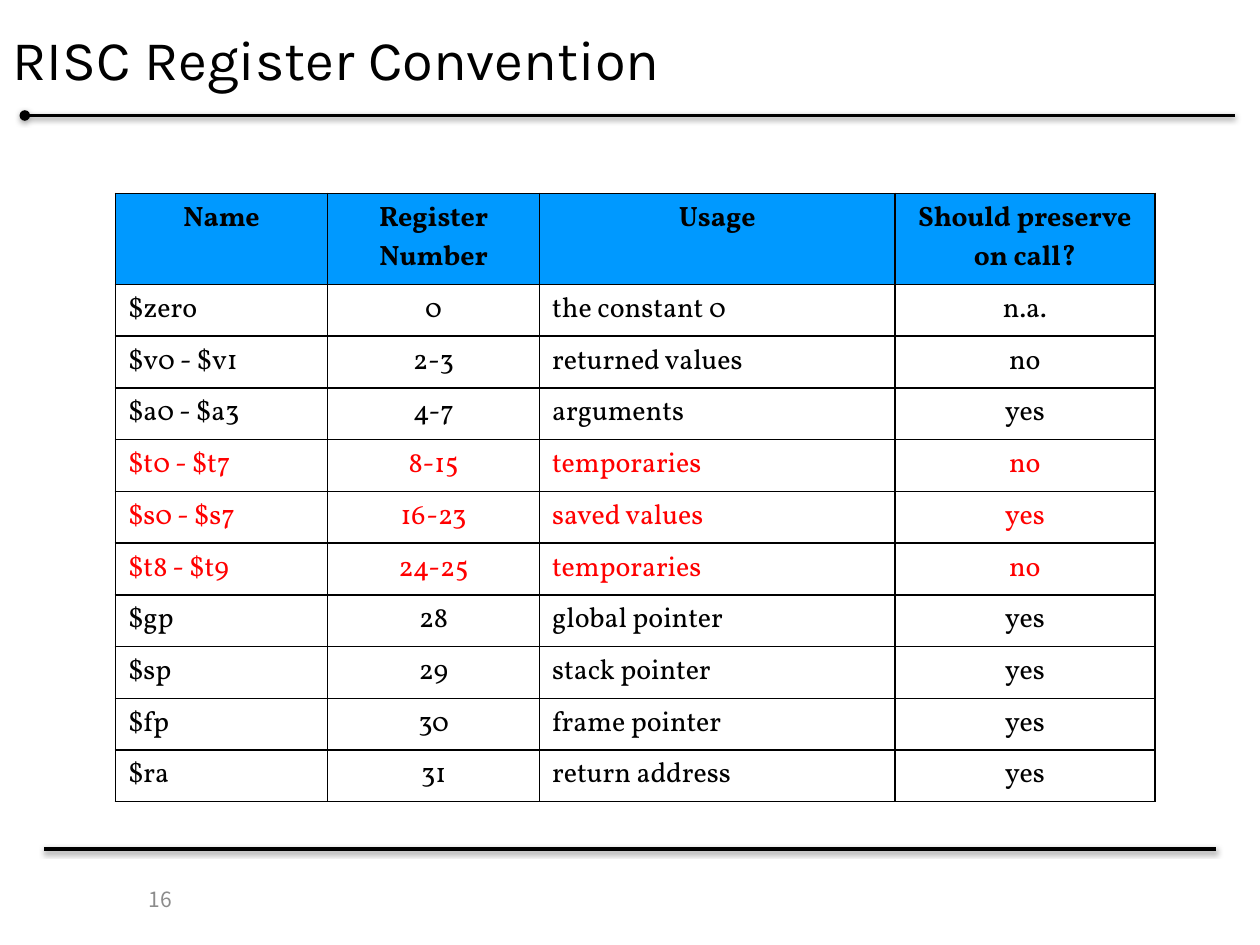
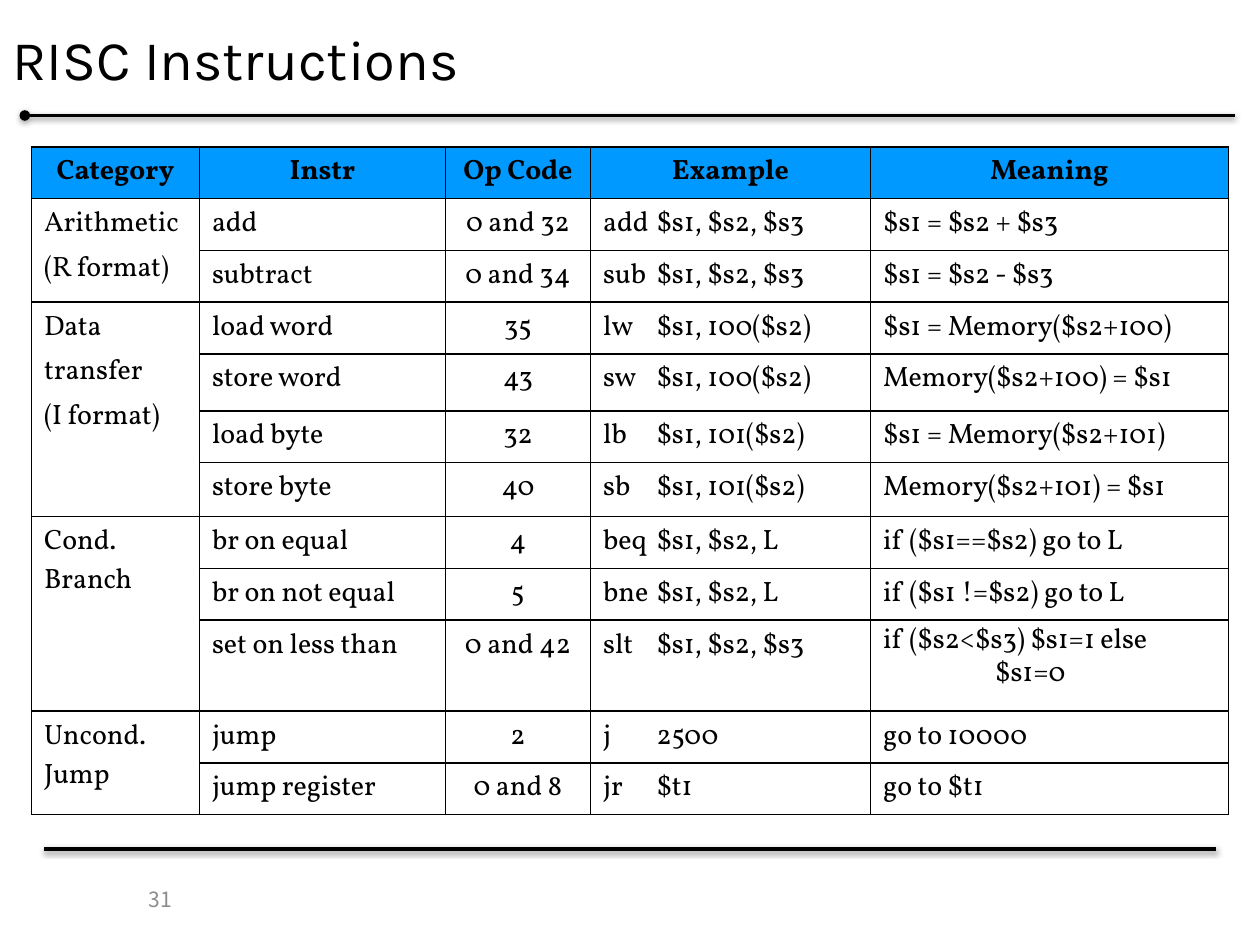
import dataclasses
import typing

import lxml.etree
import pptx
import pptx.dml.color
import pptx.enum.shapes
import pptx.enum.text
import pptx.oxml.ns
import pptx.util

Pt = pptx.util.Pt
Color = pptx.dml.color.RGBColor
Align = pptx.enum.text.PP_ALIGN
Anchor = pptx.enum.text.MSO_ANCHOR
qn = pptx.oxml.ns.qn


@dataclasses.dataclass(frozen=True)
class Theme:
    ink: Color = Color(0, 0, 0)
    header: Color = Color(0x00, 0x99, 0xFF)
    accent: Color = Color(0xFF, 0, 0)
    muted: Color = Color(0x8C, 0x8C, 0x8C)
    title_font: str = "Karla"
    table_font: str = "Vollkorn"
    number_font: str = "Noto Sans CJK KR"
    title_size: float = 32
    table_size: float = 16
    number_size: float = 12
    paragraph_gap: float = 3.2
    border: float = 1
    rule: float = 2


THEME = Theme()


class Column(typing.NamedTuple):
    heading: str
    width: float
    align: Align = Align.LEFT
    tab: float = 0
    wrapped_spacing: float = 1


@dataclasses.dataclass(frozen=True)
class TablePage:
    """A slide with one table; None in a row continues the cell above."""
    title: str
    number: int
    left: float
    top: float
    columns: list[Column]
    rows: list[tuple]
    header_height: float
    row_height: float = 29.5
    tall_rows: dict[int, float] = dataclasses.field(default_factory=dict)
    accent_rows: tuple[int, ...] = ()


REGISTERS = TablePage(
    "RISC Register Convention", 16, 66, 110.5,
    [Column("Name", 121.2), Column("Register Number", 121.2, Align.CENTER),
     Column("Usage", 203), Column("Should preserve on call?", 148.6, Align.CENTER)],
    [("$zero", "0", "the constant 0", "n.a."),
     ("$v0 - $v1", "2-3", "returned values", "no"),
     ("$a0 - $a3", "4-7", "arguments", "yes"),
     ("$t0 - $t7", "8-15", "temporaries", "no"),
     ("$s0 - $s7", "16-23", "saved values", "yes"),
     ("$t8 - $t9", "24-25", "temporaries", "no"),
     ("$gp", "28", "global pointer", "yes"),
     ("$sp", "29", "stack pointer", "yes"),
     ("$fp", "30", "frame pointer", "yes"),
     ("$ra", "31", "return address", "yes")],
    header_height=52,
    accent_rows=(4, 5, 6),
)

INSTRUCTIONS = TablePage(
    "RISC Instructions", 31, 18, 84,
    [Column("Category", 96), Column("Instr", 140.5),
     Column("Op Code", 83, Align.CENTER), Column("Example", 160, tab=30.5),
     Column("Meaning", 204.5, tab=64, wrapped_spacing=0.7)],
    [("Arithmetic\n(R format)", "add", "0 and 32", "add\t$s1, $s2, $s3", "$s1 = $s2 + $s3"),
     (None, "subtract", "0 and 34", "sub\t$s1, $s2, $s3", "$s1 = $s2 - $s3"),
     ("Data\ntransfer\n(I format)", "load word", "35", "lw\t$s1, 100($s2)",
      "$s1 = Memory($s2+100)"),
     (None, "store word", "43", "sw\t$s1, 100($s2)", "Memory($s2+100) = $s1"),
     (None, "load byte", "32", "lb\t$s1, 101($s2)", "$s1 = Memory($s2+101)"),
     (None, "store byte", "40", "sb\t$s1, 101($s2)", "Memory($s2+101) = $s1"),
     ("Cond. Branch", "br on equal", "4", "beq\t$s1, $s2, L", "if ($s1==$s2) go to L"),
     (None, "br on not equal", "5", "bne\t$s1, $s2, L", "if ($s1 !=$s2) go to L"),
     (None, "set on less than", "0 and 42", "slt\t$s1, $s2, $s3",
      "if ($s2<$s3) $s1=1 else\n\t$s1=0"),
     ("Uncond. Jump", "jump", "2", "j\t2500", "go to 10000"),
     (None, "jump register", "0 and 8", "jr\t$t1", "go to $t1")],
    header_height=29.5,
    tall_rows={4: 32.5, 6: 31, 9: 52},
)


def add_child(parent, tag: str, **attributes):
    element = lxml.etree.SubElement(parent, qn(tag))
    for name, value in attributes.items():
        element.set(name, str(value))
    return element


def set_font(para, name: str, size: float, color: Color, bold: bool = False) -> None:
    para.font.name = name
    para.font.size = Pt(size)
    para.font.bold = bold
    para.font.color.rgb = color


def add_rule(page, start: float, end: float, top: float, dot: bool = False) -> None:
    """Draw a horizontal rule with a soft shadow below it."""
    rule = page.shapes.add_connector(
        pptx.enum.shapes.MSO_CONNECTOR.STRAIGHT, Pt(start), Pt(top), Pt(end), Pt(top))
    rule.line.color.rgb = THEME.ink
    rule.line.width = Pt(THEME.rule)
    properties = rule.element.spPr
    if dot:
        add_child(properties.find(qn("a:ln")), "a:headEnd", type="oval")
    effects = add_child(properties, "a:effectLst")
    shadow = add_child(effects, "a:outerShdw", blurRad=Pt(3.1), dist=Pt(1),
                       dir=90 * 60000, rotWithShape=0)
    color = add_child(shadow, "a:srgbClr", val=THEME.ink)
    add_child(color, "a:alpha", val=38000)


def add_title(page, text: str) -> None:
    box = page.shapes.title
    box.left, box.top, box.width, box.height = Pt(0), Pt(0), Pt(720), Pt(66)
    frame = box.text_frame
    frame.text = text
    frame.auto_size = pptx.enum.text.MSO_AUTO_SIZE.NONE
    frame.vertical_anchor = Anchor.MIDDLE
    para = frame.paragraphs[0]
    para.alignment = Align.LEFT
    set_font(para, THEME.title_font, THEME.title_size, THEME.ink)


def add_page_number(page, number: int) -> None:
    box = page.shapes.add_textbox(Pt(70.5), Pt(499), Pt(35), Pt(29))
    frame = box.text_frame
    frame.word_wrap = True
    frame.vertical_anchor = Anchor.MIDDLE
    frame.text = str(number)
    para = frame.paragraphs[0]
    para.alignment = Align.RIGHT
    set_font(para, THEME.number_font, THEME.number_size, THEME.muted)


def set_borders(cell) -> None:
    properties = cell._tc.get_or_add_tcPr()
    for side in ("a:lnL", "a:lnR", "a:lnT", "a:lnB"):
        line = add_child(properties, side, w=Pt(THEME.border))
        add_child(add_child(line, "a:solidFill"), "a:srgbClr", val=THEME.ink)


def fill_cell(cell, text: str, column: Column, color: Color, heading: bool) -> None:
    cell.text_frame.text = text
    paragraphs = cell.text_frame.paragraphs
    for index, para in enumerate(paragraphs):
        para.alignment = Align.CENTER if heading else column.align
        if index:
            para.space_before = Pt(THEME.paragraph_gap)
        if len(paragraphs) > 1:
            para.line_spacing = column.wrapped_spacing
        if "\t" in para.text:
            stops = add_child(para._p.get_or_add_pPr(), "a:tabLst")
            add_child(stops, "a:tab", pos=Pt(column.tab), algn="l")
        set_font(para, THEME.table_font, THEME.table_size, color, heading)


def add_ruled_table(page, content: TablePage) -> None:
    """Draw a ruled table with a coloured heading row and merged categories."""
    rows = [tuple(column.heading for column in content.columns), *content.rows]
    heights = [content.header_height] + [
        content.tall_rows.get(index, content.row_height) for index in range(1, len(rows))]
    table = page.shapes.add_table(
        len(rows), len(content.columns), Pt(content.left), Pt(content.top),
        Pt(sum(column.width for column in content.columns)), Pt(sum(heights))).table
    table.first_row = table.horz_banding = False
    for target, column in zip(table.columns, content.columns):
        target.width = Pt(column.width)
    for target, height in zip(table.rows, heights):
        target.height = Pt(height)

    for row, texts in enumerate(rows):
        color = THEME.accent if row in content.accent_rows else THEME.ink
        for index, (text, column) in enumerate(zip(texts, content.columns)):
            cell = table.cell(row, index)
            set_borders(cell)
            if row == 0:
                cell.fill.solid()
                cell.fill.fore_color.rgb = THEME.header
            else:
                cell.fill.background()
            if text is not None:
                fill_cell(cell, text, column, color, row == 0)

    starts = [row for row, texts in enumerate(rows) if texts[0] is not None]
    for start, following in zip(starts, starts[1:] + [len(rows)]):
        if following - start > 1:
            table.cell(start, 0).merge(table.cell(following - 1, 0))


def add_page(deck, content: TablePage) -> None:
    page = deck.slides.add_slide(deck.slide_layouts.get_by_name("Title Only"))
    add_rule(page, 14.2, 705.6, 66, dot=True)
    add_rule(page, 694.8, 25.2, 485.3)
    add_title(page, content.title)
    add_ruled_table(page, content)
    add_page_number(page, content.number)


def main() -> None:
    deck = pptx.Presentation()
    deck.slide_width, deck.slide_height = Pt(720), Pt(540)
    for content in (REGISTERS, INSTRUCTIONS):
        add_page(deck, content)
    deck.save("out.pptx")


if __name__ == "__main__":
    main()
